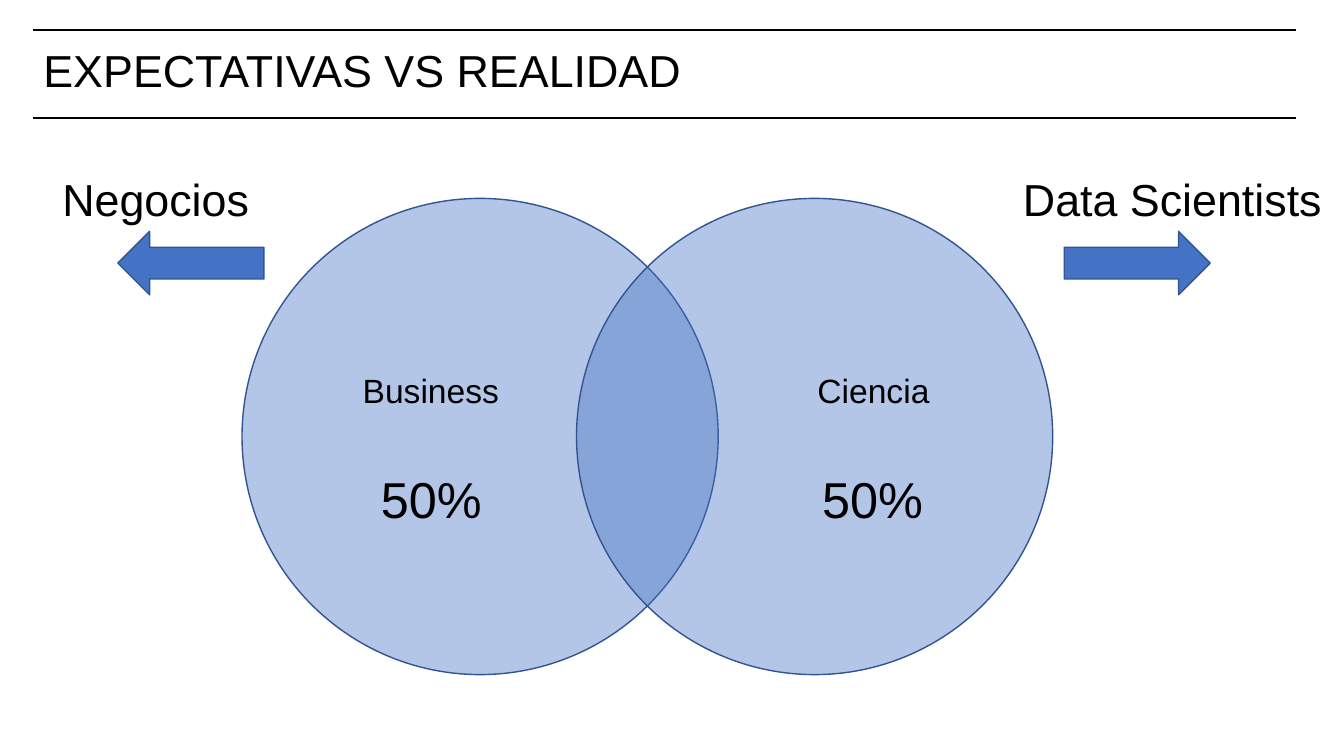
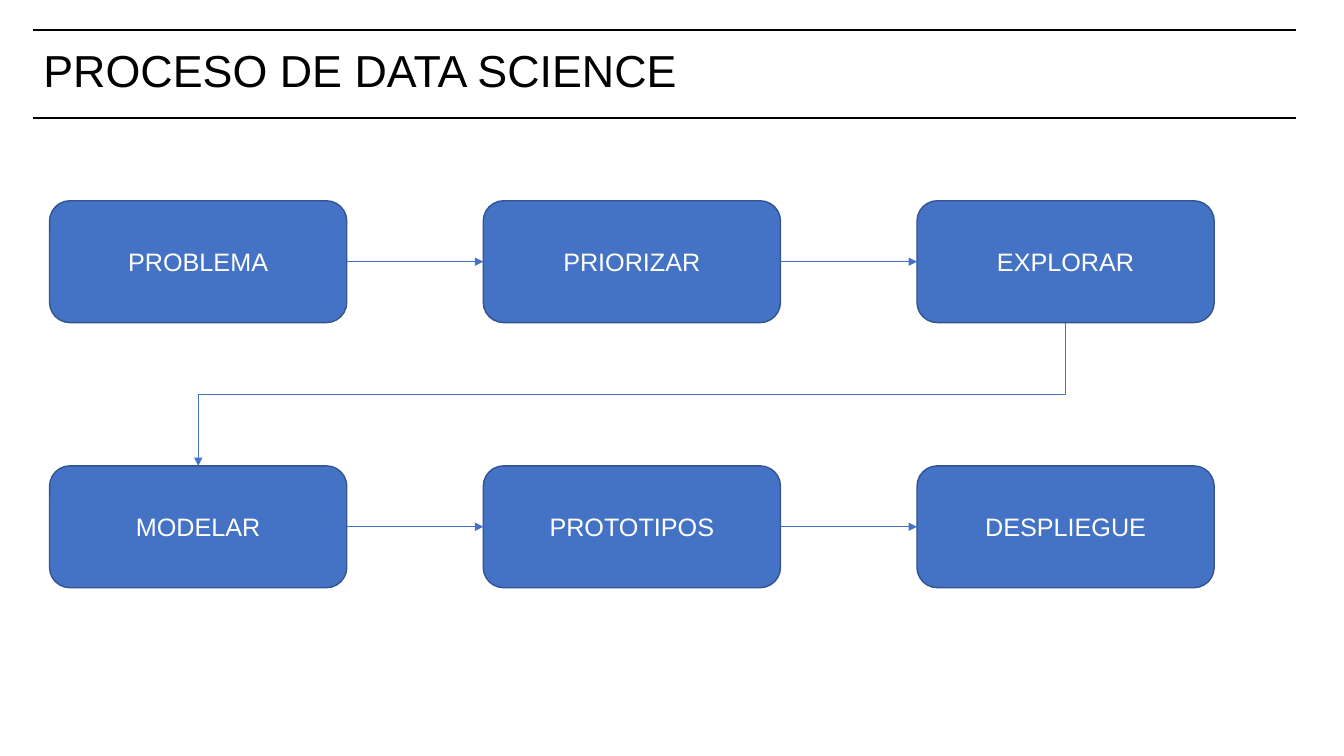
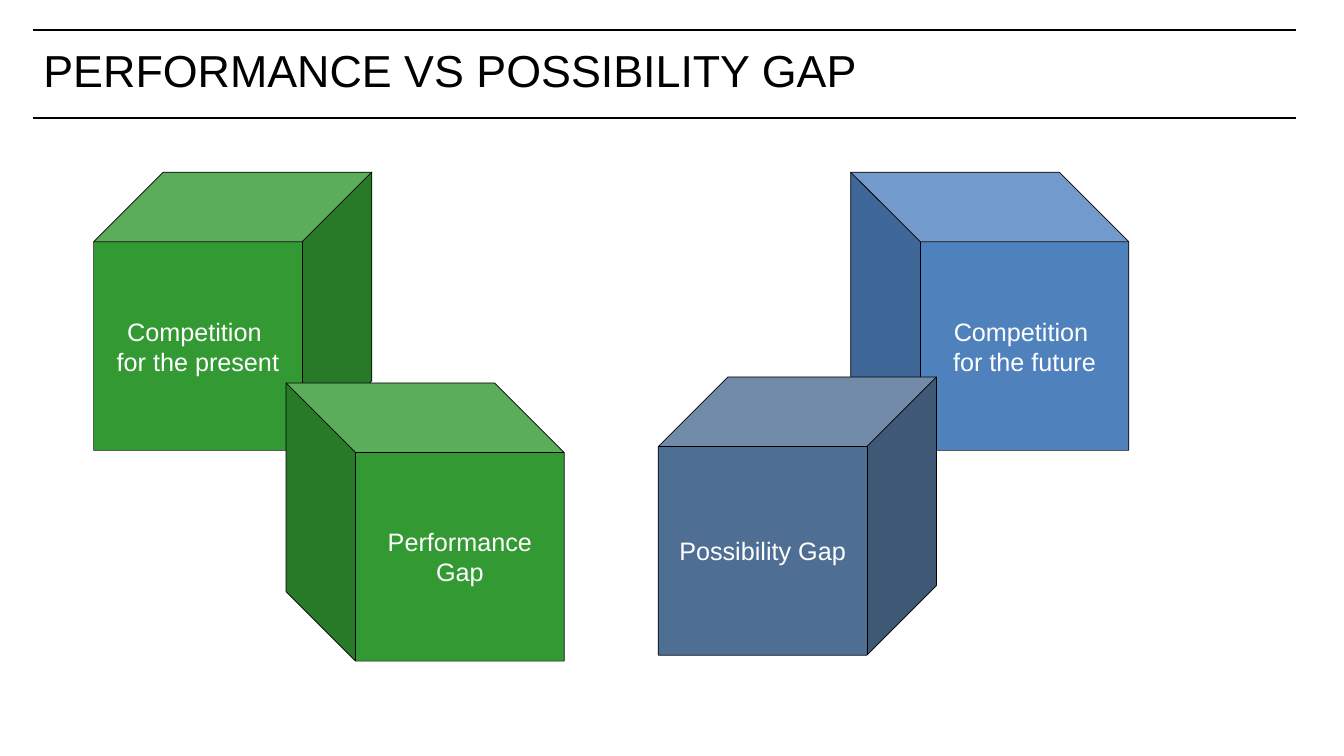
import dataclasses

import lxml.etree
import pptx
import pptx.dml.color
import pptx.enum.shapes
import pptx.enum.text
import pptx.oxml.ns
import pptx.util

Cm = pptx.util.Cm
Pt = pptx.util.Pt
qn = pptx.oxml.ns.qn
Shape = pptx.enum.shapes.MSO_SHAPE
Link = pptx.enum.shapes.MSO_CONNECTOR
Align = pptx.enum.text.PP_ALIGN
Anchor = pptx.enum.text.MSO_ANCHOR
Fit = pptx.enum.text.MSO_AUTO_SIZE


@dataclasses.dataclass(frozen=True)
class Theme:
    font: str = "Arial"
    # Colours
    ink: str = "000000"
    white: str = "FFFFFF"
    blue: str = "4472C4"
    edge: str = "325491"
    green: str = "339933"
    sky: str = "4F81BD"
    slate: str = "4F6E94"
    # Type sizes
    head: int = 32
    share: int = 36
    label: int = 24
    body: int = 18
    # Line widths
    rule: float = 1
    thin: float = 0.5


@dataclasses.dataclass(frozen=True)
class Box:
    """A region in centimetres."""
    left: float
    top: float
    width: float
    height: float

    def inner(self, x, y, width, height):
        return Box(self.left + x, self.top + y, width, height)

    def place(self):
        return [Cm(n) for n in (self.left, self.top, self.width, self.height)]


THEME = Theme()
PAGE = Box(0, 0, 33.87, 19.05)
HEAD = Box(0.84, 0.76, 31.83, 2.21)


def tint(code):
    return pptx.dml.color.RGBColor.from_string(code)


def style(frame, size, code, align=Align.LEFT):
    for para in frame.paragraphs:
        para.alignment = align
        para.font.name = THEME.font
        para.font.size = Pt(size)
        para.font.color.rgb = tint(code)


def add_shape(slide, kind, box, fill, edge=THEME.edge, width=THEME.rule, text=""):
    shape = slide.shapes.add_shape(kind, *box.place())
    shape.shadow.inherit = False
    shape.fill.solid()
    shape.fill.fore_color.rgb = tint(fill)
    shape.line.color.rgb = tint(edge)
    shape.line.width = Pt(width)
    if text:
        frame = shape.text_frame
        frame.text = text
        frame.word_wrap = True
        frame.vertical_anchor = Anchor.MIDDLE
        style(frame, THEME.body, THEME.white, Align.CENTER)
    return shape


def add_label(slide, box, text, size):
    frame = slide.shapes.add_textbox(*box.place()).text_frame
    frame.text = text
    frame.word_wrap = False
    frame.auto_size = Fit.SHAPE_TO_FIT_TEXT
    style(frame, size, THEME.ink)


def add_line(slide, kind, ends, code, width):
    line = slide.shapes.add_connector(kind, *[Cm(n) for n in ends])
    line.line.color.rgb = tint(code)
    line.line.width = Pt(width)
    lxml.etree.SubElement(line.element.spPr, qn("a:effectLst"))
    return line


def add_arrow(slide, start, end, kind=Link.STRAIGHT, sites=(3, 1)):
    arrow = add_line(slide, kind, (0, 0, 1, 1), THEME.blue, THEME.thin)
    arrow.begin_connect(start, sites[0])
    arrow.end_connect(end, sites[1])
    tail = lxml.etree.SubElement(arrow.element.spPr.find(qn("a:ln")),
                                 qn("a:tailEnd"))
    tail.set("type", "triangle")
    return arrow


def rule_page(slide, box):
    """Draw the two title rules and move them to the shared layout."""
    for y in (box.top, box.top + box.height):
        ends = (box.left, y, box.left + box.width, y)
        line = add_line(slide, Link.STRAIGHT, ends, THEME.ink, THEME.rule)
        slide.slide_layout.shapes.element.append(line.element)


def add_title(slide, box, text):
    title = slide.shapes.title
    area = box.inner(0, 0.33, box.width, 1.5)
    title.left, title.top, title.width, title.height = area.place()
    frame = title.text_frame
    frame.text = text
    frame.word_wrap = True
    frame.auto_size = Fit.NONE
    frame.vertical_anchor = Anchor.MIDDLE
    style(frame, THEME.head, THEME.ink)
    frame.paragraphs[0].line_spacing = 0.9


def draw_venn(slide, box):
    # Circles
    size = 12
    for x in (4.78, 13.21):
        disc = add_shape(slide, Shape.OVAL, box.inner(x, 0.81, size, size), THEME.blue)
        clear = lxml.etree.SubElement(
            disc.element.spPr.find(qn("a:solidFill"))[0], qn("a:alpha"))
        clear.set("val", "40000")

    # Arrows pointing out
    for x, turn in ((25.5, 0), (1.65, 180)):
        arrow = add_shape(slide, Shape.RIGHT_ARROW,
                          box.inner(x, 1.64, 3.68, 1.6), THEME.blue)
        arrow.rotation = turn

    # Labels: x, y, width, height, text, size
    for x, y, width, height, text, size in (
        (0, 0, 5.26, 1.63, "Negocios", THEME.head),
        (24.21, 0, 8.1, 1.63, "Data Scientists", THEME.head),
        (19.15, 7.49, 3.07, 1.8, "50%", THEME.share),
        (8.03, 7.49, 3.07, 1.8, "50%", THEME.share),
        (7.57, 5, 3.99, 1.27, "Business", THEME.label),
        (19.03, 5, 3.38, 1.27, "Ciencia", THEME.label),
    ):
        add_label(slide, box.inner(x, y, width, height), text, size)


def draw_flow(slide, box, rows):
    # Steps on an even grid
    wide, high = 7.49, 3.07
    step_x = (box.width - wide) / (len(rows[0]) - 1)
    step_y = (box.height - high) / (len(rows) - 1)
    grid = [
        [add_shape(slide, Shape.ROUNDED_RECTANGLE,
                   box.inner(col * step_x, row * step_y, wide, high),
                   THEME.blue, text=text)
         for col, text in enumerate(names)]
        for row, names in enumerate(rows)
    ]

    # Arrows along each row
    for steps in grid:
        for start, end in zip(steps, steps[1:]):
            add_arrow(slide, start, end)

    # Bent arrows to the next row: a quarter turn makes them leave downward
    for above, below in zip(grid, grid[1:]):
        bend = add_arrow(slide, above[-1], below[0], Link.ELBOW, (2, 0))
        mid_x = bend.left + bend.width // 2
        mid_y = bend.top + bend.height // 2
        bend.width, bend.height = bend.height, bend.width
        bend.left = mid_x - bend.width // 2
        bend.top = mid_y - bend.height // 2
        frame = bend.element.spPr.find(qn("a:xfrm"))
        frame.attrib.pop("flipH", None)
        frame.set("rot", "5400000")


def draw_cubes(slide, box, cubes):
    size = 7.01
    for x, y, fill, flip, text in cubes:
        cube = add_shape(slide, Shape.CUBE, box.inner(x, y, size, size),
                         fill, THEME.ink, THEME.thin, text)
        if flip:
            cube.element.spPr.find(qn("a:xfrm")).set("flipH", "1")


def main():
    deck = pptx.Presentation()
    deck.slide_width, deck.slide_height = Cm(PAGE.width), Cm(PAGE.height)
    slides = []
    for text in ("EXPECTATIVAS VS REALIDAD", "PROCESO DE DATA SCIENCE",
                 "PERFORMANCE VS POSSIBILITY GAP"):
        slide = deck.slides.add_slide(deck.slide_layouts[5])
        add_title(slide, HEAD, text)
        slides.append(slide)
    venn, flow, gap = slides
    rule_page(venn, HEAD)

    draw_venn(venn, Box(1.32, 4.19, 32.31, 12.81))
    draw_flow(flow, Box(1.25, 5.06, 29.35, 9.75), (
        ("PROBLEMA", "PRIORIZAR", "EXPLORAR"),
        ("MODELAR", "PROTOTIPOS", "DESPLIEGUE"),
    ))
    draw_cubes(gap, Box(2.36, 4.34, 26.09, 12.32), (
        (19.08, 0, THEME.sky, True, "Competition \nfor the future"),
        (0, 0, THEME.green, False, "Competition \vfor the present"),
        (4.85, 5.31, THEME.green, True, "Performance Gap"),
        (14.23, 5.16, THEME.slate, False, "Possibility Gap"),
    ))
    deck.save("out.pptx")


if __name__ == "__main__":
    main()
